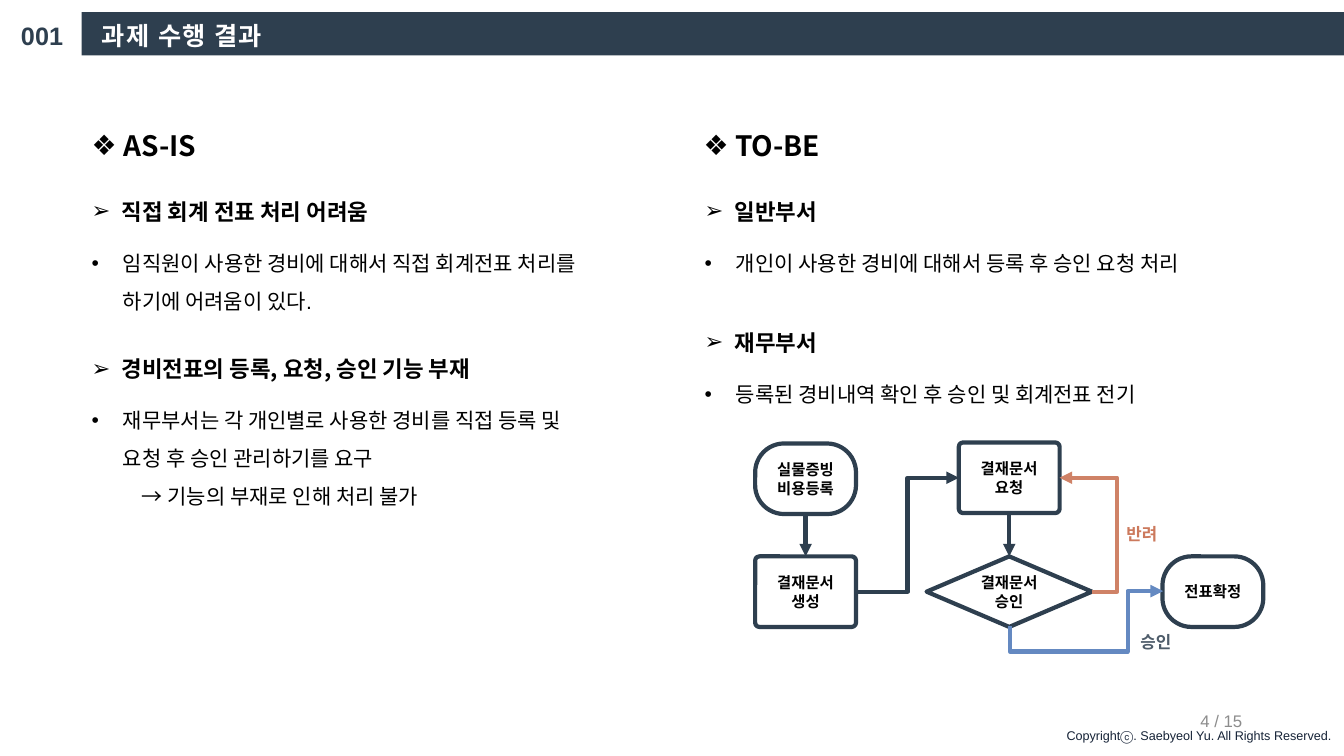
from lxml import etree
from pptx import Presentation
from pptx import util as u
from pptx.dml.color import RGBColor
from pptx.enum import shapes, text
from pptx.oxml.ns import qn

PX = 9144
NAVY, BLACK, WHITE = "2E3F4F", "000000", "FFFFFF"
KOREAN = "Noto Sans CJK KR"
LEFT, CENTER, RIGHT = text.PP_ALIGN.LEFT, text.PP_ALIGN.CENTER, text.PP_ALIGN.RIGHT
TOP, MIDDLE = text.MSO_ANCHOR.TOP, text.MSO_ANCHOR.MIDDLE


def scaled(*lengths):
    return [u.Emu(length * PX) for length in lengths]


def write(holder, lines, size, color, bold=False, align=LEFT, anchor=TOP,
          font="Arial", wrap=True, grow=False, bullet=None, hang=0, spacing=None):
    frame = holder.text_frame
    frame.word_wrap = wrap
    frame.auto_size = (text.MSO_AUTO_SIZE.SHAPE_TO_FIT_TEXT if grow
                       else text.MSO_AUTO_SIZE.NONE)
    frame.vertical_anchor = anchor
    for index, line in enumerate(lines):
        paragraph = frame.add_paragraph() if index else frame.paragraphs[0]
        paragraph.alignment = align
        if spacing:
            paragraph.line_spacing = spacing
        if bullet:
            properties = paragraph._p.get_or_add_pPr()
            if index:
                paragraph.level = 1
                properties.set("marL", str(50 * PX))
                properties.set("indent", "0")
            else:
                properties.set("marL", str(hang * PX))
                properties.set("indent", str(-hang * PX))
                etree.SubElement(properties, qn("a:buFont")).set("typeface", "Arial")
                etree.SubElement(properties, qn("a:buChar")).set("char", bullet)
        run = paragraph.add_run()
        run.text = line
        run.font.name = font
        run.font.size = u.Pt(size)
        run.font.bold = bold
        run.font.color.rgb = RGBColor.from_string(color)
        etree.SubElement(run._r.get_or_add_rPr(), qn("a:ea")).set("typeface", KOREAN)


deck = Presentation()
deck.slide_width, deck.slide_height = scaled(1333, 750)
slide = deck.slides.add_slide(deck.slide_layouts[5])
parts = slide.shapes

title = parts.title
title.left, title.top, title.width, title.height = scaled(91, 15, 197, 40)
write(title, ["과제 수행 결과"], 18, WHITE, bold=True, wrap=False, grow=True)
title.text_frame.paragraphs[0].runs[0].font._element.set("spc", "100")

bar = parts.add_shape(shapes.MSO_SHAPE.RECTANGLE, *scaled(81, 12, 1252, 43))
bar.shadow.inherit = False
bar.fill.solid()
bar.fill.fore_color.rgb = RGBColor.from_string(NAVY)
bar.line.fill.background()
title._element.addprevious(bar._element)

section_number = parts.add_textbox(*scaled(11, 15, 62, 40))
write(section_number, ["001"], 18, NAVY, bold=True, wrap=False, grow=True)
page_number = parts.add_textbox(*scaled(942, 695, 300, 40))
write(page_number, ["4 / 15"], 12, "8C8C8C", align=RIGHT, anchor=MIDDLE)
copyright_line = parts.add_textbox(*scaled(1048, 717, 286, 25))
write(copyright_line, ["Copyrightⓒ. Saebyeol Yu. All Rights Reserved."], 9, "162337",
      wrap=False, grow=True)

columns = [
    (81, 81, 520, " AS-IS", [
        (188, 81, " 직접 회계 전표 처리 어려움",
         ["임직원이 사용한 경비에 대해서 직접 회계전표 처리를 하기에 어려움이 있다."]),
        (344, 119, " 경비전표의 등록, 요청, 승인 기능 부재",
         ["재무부서는 각 개인별로 사용한 경비를 직접 등록 및 요청 후 승인 관리하기를 요구",
          "→ 기능의 부재로 인해 처리 불가"]),
    ]),
    (688, 689, 574, " TO-BE", [
        (188, 43, " 일반부서", ["개인이 사용한 경비에 대해서 등록 후 승인 요청 처리"]),
        (318, 43, " 재무부서", ["등록된 경비내역 확인 후 승인 및 회계전표 전기"]),
    ]),
]
for heading_left, left, detail_width, heading, topics in columns:
    heading_box = parts.add_textbox(*scaled(heading_left, 123, 520, 43))
    write(heading_box, [heading], 20, BLACK, bold=True, font=KOREAN, bullet="❖", hang=25)
    for top, detail_height, topic, details in topics:
        topic_box = parts.add_textbox(*scaled(left, top, 520, 43))
        write(topic_box, [topic], 16, BLACK, bold=True, anchor=MIDDLE, font=KOREAN,
              bullet="➢", hang=25)
        detail_box = parts.add_textbox(*scaled(left, top + 43, detail_width, detail_height))
        write(detail_box, details, 15, BLACK, grow=True, bullet="•", hang=31, spacing=1.5)

ROUNDED, DECISION = shapes.MSO_SHAPE.ROUNDED_RECTANGLE, shapes.MSO_SHAPE.FLOWCHART_DECISION
steps = {}
for step, kind, left, top, width, corner, lines in [
    ("create", ROUNDED, 749, 552, 100, 0.06, ["결재문서", "생성"]),
    ("register", ROUNDED, 749, 440, 100, 0.41, ["실물증빙", "비용등록"]),
    ("confirm", ROUNDED, 1153, 552, 100, 0.41, ["전표확정"]),
    ("request", ROUNDED, 951, 439, 100, 0.06, ["결재문서", "요청"]),
    ("approve", DECISION, 919, 552, 164, None, ["결재문서승인"]),
]:
    node = parts.add_shape(kind, *scaled(left, top, width, 70))
    node.shadow.inherit = False
    node.fill.background()
    node.line.color.rgb = RGBColor.from_string(NAVY)
    node.line.width = u.Pt(3)
    if corner:
        node.adjustments[0] = corner
    write(node, lines, 11, BLACK, bold=True, align=CENTER, anchor=MIDDLE)
    steps[step] = node

STRAIGHT, ELBOW = shapes.MSO_CONNECTOR.STRAIGHT, shapes.MSO_CONNECTOR.ELBOW
for kind, ends, color, bends, joined in [
    (STRAIGHT, (799, 510, 799, 552), NAVY, [], ("register", "create")),
    (ELBOW, (1083, 587, 1051, 474), "CF8267", [-78000], None),
    (ELBOW, (1095, 680, 1060, 528), "6489C1", [-71300, 76900], None),
    (ELBOW, (849, 587, 951, 474), NAVY, [50000], None),
    (STRAIGHT, (1001, 509, 1001, 552), NAVY, [], ("request", "approve")),
]:
    arrow = parts.add_connector(kind, *scaled(*ends))
    if joined:
        arrow.begin_connect(steps[joined[0]], 2)
        arrow.end_connect(steps[joined[1]], 0)
    arrow.line.color.rgb = RGBColor.from_string(color)
    arrow.line.width = u.Pt(3)
    etree.SubElement(arrow.line._get_or_add_ln(), qn("a:tailEnd")).set("type", "triangle")
    properties = arrow._element.spPr
    etree.SubElement(properties, qn("a:effectLst"))
    geometry = properties.find(qn("a:prstGeom"))
    guides = geometry.find(qn("a:avLst"))
    for number, bend in enumerate(bends, 1):
        guide = etree.SubElement(guides, qn("a:gd"))
        guide.set("name", f"adj{number}")
        guide.set("fmla", f"val {bend}")
    if len(bends) == 2:
        geometry.set("prst", "bentConnector4")
        properties.find(qn("a:xfrm")).set("rot", "5400000")

for left, top, width, verdict, color in [
    (1106, 515, 53, "반려", "CC795C"),
    (1115, 622, 63, "승인", "4E5C6A"),
]:
    verdict_box = parts.add_textbox(*scaled(left, top, width, 30))
    write(verdict_box, [verdict], 12, color, bold=True, align=CENTER, grow=True)

deck.save("out.pptx")
